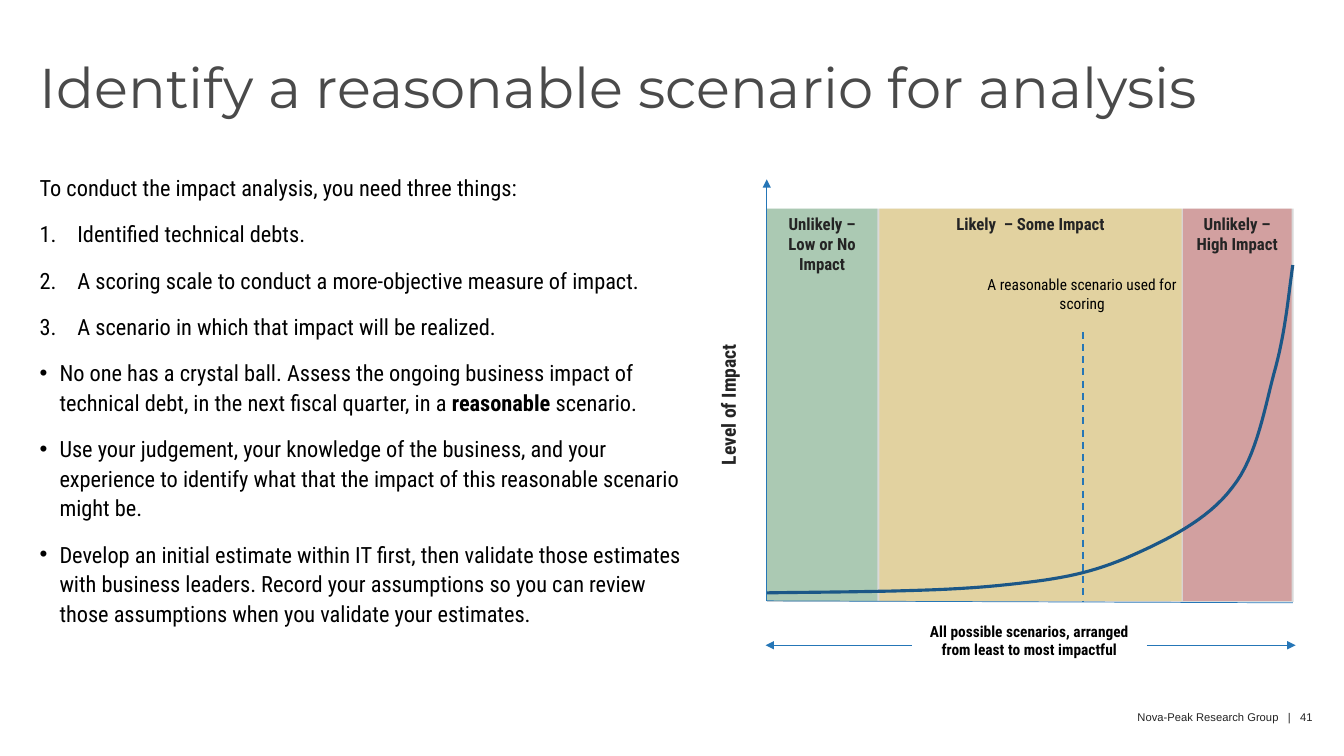
from lxml import etree
from pptx import Presentation
from pptx.dml.color import RGBColor
from pptx.enum.dml import MSO_LINE
from pptx.enum.shapes import MSO_CONNECTOR, MSO_SHAPE
from pptx.enum.text import MSO_ANCHOR, MSO_AUTO_SIZE, PP_ALIGN
from pptx.oxml.ns import qn
from pptx.util import Cm, Pt

RECT = MSO_SHAPE.RECTANGLE
LINE = MSO_CONNECTOR.STRAIGHT
DASH = MSO_LINE.DASH
TOP = MSO_ANCHOR.TOP
FIXED = MSO_AUTO_SIZE.NONE
LEFT, MID, RIGHT = PP_ALIGN.LEFT, PP_ALIGN.CENTER, PP_ALIGN.RIGHT

BLACK = RGBColor(0x00, 0x00, 0x00)
DARK = RGBColor(0x24, 0x24, 0x24)
SLATE = RGBColor(0x4A, 0x4A, 0x4A)
GRAY = RGBColor(0xD9, 0xD9, 0xD9)
GREEN = RGBColor(0x28, 0x9D, 0x48)
GOLD = RGBColor(0xFF, 0xC0, 0x00)
RED = RGBColor(0xC0, 0x00, 0x00)
BLUE = RGBColor(0x25, 0x76, 0xB7)
NAVY = RGBColor(0x1B, 0x57, 0x87)

HEAD_FONT, BODY_FONT, FOOT_FONT = "Montserrat", "Roboto Condensed", "Arial"

X0, X1 = 19.33, 32.59
BASE, CEIL = 15.14, 5.26
ARROW_Y = 16.26

STEPS = [
    "Identified technical debts.",
    "A scoring scale to conduct a more-objective measure of impact.",
    "A scenario in which that impact will be realized.",
]
NOTES = [
    ["No one has a crystal ball. Assess the ongoing business impact of "
     "technical debt, in the next fiscal quarter, in a ", "reasonable ", "scenario."],
    ["Use your judgement, your knowledge of the business, and your experience "
     "to identify what that the impact of this reasonable scenario might be."],
    ["Develop an initial estimate within IT first, then validate those estimates "
     "with business leaders. Record your assumptions so you can review those "
     "assumptions when you validate your estimates."],
]
BANDS = [
    (X0, 2.79, GREEN, "Unlikely – Low or No Impact"),
    (29.82, 2.74, RED, "Unlikely – High Impact"),
    (22.17, 7.62, GOLD, "Likely  – Some Impact"),
]
CURVE = [
    (X0, 14.94),
    (21.49, 14.91), (23.62, 14.91), (25.12, 14.76),
    (26.64, 14.61), (27.38, 14.48), (28.37, 14.07),
    (29.36, 13.64), (30.45, 13.11), (31.06, 12.29),
    (31.7, 11.51), (31.9, 10.16), (32.16, 9.25),
    (32.41, 8.31), (32.49, 7.37), (X1, 6.68),
]


def bezier(knots, steps=16):
    for i in range(0, len(knots) - 1, 3):
        part = knots[i:i + 4]
        for n in range(1, steps + 1):
            t = n / steps
            mix = ((1 - t) ** 3, 3 * t * (1 - t) ** 2, 3 * t * t * (1 - t), t ** 3)
            yield tuple(Cm(sum(m * p[k] for m, p in zip(mix, part))) for k in (0, 1))


class Board:
    def __init__(self, slide):
        self.slide = slide
        self.shapes = slide.shapes

    def font(self, para, size, color, bold=False, name=BODY_FONT):
        font = para.font
        font.name, font.size, font.bold = name, Pt(size), bold
        font.color.rgb = color

    def frame(self, shape, inset=True):
        frame = shape.text_frame
        frame.word_wrap = True
        frame.auto_size = FIXED
        frame.vertical_anchor = TOP
        if not inset:
            frame.margin_left = frame.margin_right = 0
            frame.margin_top = frame.margin_bottom = 0
        return frame

    def place(self, shape, box):
        shape.left, shape.top, shape.width, shape.height = map(Cm, box)

    def title(self, text, box):
        shape = self.shapes.title
        self.place(shape, box)
        para = self.frame(shape, False).paragraphs[0]
        para.text = text
        para.alignment = LEFT
        para.line_spacing = 0.9
        self.font(para, 40, SLATE, name=HEAD_FONT)

    def body(self, items, box):
        shape = self.slide.placeholders[1]
        self.place(shape, box)
        frame = self.frame(shape, False)
        for i, (parts, mark, indent) in enumerate(items):
            para = frame.add_paragraph() if i else frame.paragraphs[0]
            for part in parts:
                para.add_run().text = part
            para.alignment = LEFT
            para.line_spacing = 1.1
            para.space_before = Pt(6 if i else 0)
            para.space_after = Pt(6)
            self.bullet(para, mark, indent)
            self.font(para, 16, BLACK)
            if len(parts) > 1:
                para.runs[1].font.bold = True

    def bullet(self, para, mark, indent):
        props = para._p.get_or_add_pPr()
        props.set("marL", str(Cm(indent)))
        props.set("indent", str(-Cm(indent)))
        if mark == "•":
            etree.SubElement(props, qn("a:buFont"), typeface=FOOT_FONT)
            etree.SubElement(props, qn("a:buChar"), char=mark)
        elif mark:
            etree.SubElement(props, qn("a:buAutoNum"), type="arabicPeriod")
        else:
            etree.SubElement(props, qn("a:buNone"))

    def label(self, text, box, size, color, bold=False, align=MID,
              name=BODY_FONT, inset=True, turn=0):
        shape = self.shapes.add_textbox(*map(Cm, box))
        shape.rotation = turn
        para = self.frame(shape, inset).paragraphs[0]
        para.text = text
        para.alignment = align
        self.font(para, size, color, bold, name)

    def rect(self, box, color, text="", alpha=None):
        shape = self.shapes.add_shape(RECT, *map(Cm, box))
        shape.shadow.inherit = False
        shape.fill.solid()
        shape.fill.fore_color.rgb = color
        shape.line.fill.background()
        if alpha:
            tone = shape._element.spPr.find(qn("a:solidFill"))[0]
            etree.SubElement(tone, qn("a:alpha"), val=str(alpha * 1000))
        if text:
            para = self.frame(shape).paragraphs[0]
            para.text = text
            para.alignment = MID
            self.font(para, 12, DARK, True)

    def line(self, start, end, width=0.5, arrow=False, dash=None):
        link = self.shapes.add_connector(LINE, *map(Cm, start + end))
        link.line.color.rgb = BLUE
        link.line.width = Pt(width)
        if dash:
            link.line.dash_style = dash
        if arrow:
            etree.SubElement(link.line._get_or_add_ln(), qn("a:tailEnd"), type="triangle")
        etree.SubElement(link._element.spPr, qn("a:effectLst"))

    def curve(self, knots):
        pen = self.shapes.build_freeform(*map(Cm, knots[0]))
        pen.add_line_segments(list(bezier(knots)), close=False)
        shape = pen.convert_to_shape()
        shape.shadow.inherit = False
        shape.fill.background()
        shape.line.color.rgb = NAVY
        shape.line.width = Pt(2.25)


def main():
    deck = Presentation()
    deck.slide_width, deck.slide_height = Cm(33.88), Cm(19.05)
    board = Board(deck.slides.add_slide(deck.slide_layouts[1]))

    board.title("Identify a reasonable scenario for analysis", (1, 1.52, 31.1, 3.15))
    items = [(["To conduct the impact analysis, you need three things:"], "", 0)]
    items += [([step], "1.", 0.95) for step in STEPS]
    items += [(note, "•", 0.5) for note in NOTES]
    board.body(items, (1, 4.32, 16.18, 12.27))

    board.rect((X0, CEIL, 13.28, 9.91), GRAY)
    for left, width, color, text in BANDS:
        board.rect((left, CEIL, width, 9.88), color, text, 26)
    board.line((X0, BASE), (X0, 4.52), arrow=True)
    board.line((X0, BASE), (X1, 15.19))
    board.label("Level of Impact", (14.73, 9.7, 7.65, 0.99), 14, DARK, True,
                inset=False, turn=270)
    board.curve(CURVE)
    board.label("A reasonable scenario used for scoring", (24.59, 6.81, 5.38, 1.45), 11, BLACK)
    board.line((27.31, 8.36), (27.31, BASE), 1.25, dash=DASH)
    board.label("All possible scenarios, arranged from least to most impactful",
                (22.99, 15.54, 5.92, 2.01), 11, BLACK, True)
    for start, end in ((28.91, 32.66), (22.99, 19.3)):
        board.line((start, ARROW_Y), (end, ARROW_Y), arrow=True)

    board.label("Nova-Peak Research Group   |   41", (24.1, 17.91, 9, 0.33), 8, DARK,
                align=RIGHT, name=FOOT_FONT, inset=False)
    deck.save("out.pptx")


if __name__ == "__main__":
    main()
